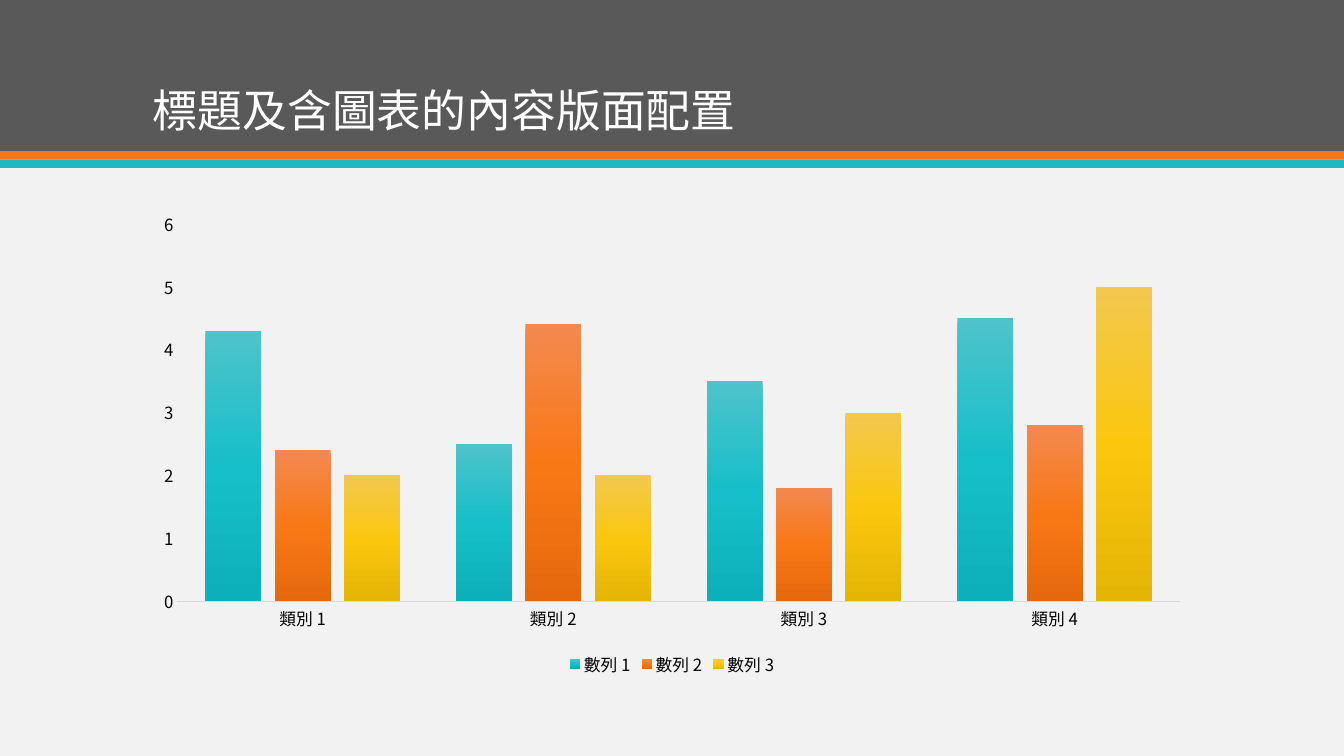
import dataclasses
import copy
import lxml.etree
import pptx
import pptx.chart.data
import pptx.dml.color
import pptx.enum.chart
import pptx.enum.shapes
import pptx.enum.text
import pptx.oxml.ns
import pptx.util

Cm = pptx.util.Cm
qn = pptx.oxml.ns.qn


@dataclasses.dataclass(frozen=True)
class Theme:
    font: str = "Noto Sans CJK TC"
    background: str = "F2F2F2"
    header: str = "595959"
    stripes: tuple = ("EF7920", "1EB8C1")
    title: str = "FFFFFF"
    label: str = "000000"
    axis: str = "D9D9D9"
    gradients: tuple = (
        ("4EC3CB", "16BFC9", "0CB0BA"),
        ("F38950", "F97816", "E5690C"),
        ("F3C84E", "FAC70E", "E5B506"),
    )
    title_size: int = 32
    label_size: int = 12


@dataclasses.dataclass(frozen=True)
class Box:
    left: float
    top: float
    width: float
    height: float

    def lengths(self):
        return Cm(self.left), Cm(self.top), Cm(self.width), Cm(self.height)


THEME = Theme()
CATEGORIES = ("類別 1", "類別 2", "類別 3", "類別 4")
SERIES = {
    "數列 1": (4.3, 2.5, 3.5, 4.5),
    "數列 2": (2.4, 4.4, 1.8, 2.8),
    "數列 3": (2, 2, 3, 5),
}


def color(value):
    return pptx.dml.color.RGBColor.from_string(value)


def style_font(font, size, value):
    font.name = THEME.font
    font.size = pptx.util.Pt(size)
    font.color.rgb = color(value)
    east_asian = lxml.etree.SubElement(font._element, qn("a:ea"))
    east_asian.set("typeface", THEME.font)


def add_band(page, box, value):
    band = page.shapes.add_shape(
        pptx.enum.shapes.MSO_SHAPE.RECTANGLE, *box.lengths())
    band.shadow.inherit = False
    band.fill.solid()
    band.fill.fore_color.rgb = color(value)
    band.line.fill.background()


def add_header(page, box, text):
    stripe_height = 0.21
    panel_height = box.height - stripe_height * len(THEME.stripes)
    add_band(page, Box(box.left, box.top, box.width, panel_height), THEME.header)
    for index, value in enumerate(THEME.stripes):
        top = box.top + panel_height + index * stripe_height
        add_band(page, Box(box.left, top, box.width, stripe_height), value)

    title = page.shapes.title
    title.element.getparent().append(title.element)
    title_box = Box(box.left + 3.6, box.top + 0.71, box.width - 7.2, 2.87)
    title.left, title.top, title.width, title.height = title_box.lengths()
    frame = title.text_frame
    frame.text = text
    frame.word_wrap = True
    frame.auto_size = pptx.enum.text.MSO_AUTO_SIZE.NONE
    frame.vertical_anchor = pptx.enum.text.MSO_ANCHOR.BOTTOM
    para = frame.paragraphs[0]
    para.alignment = pptx.enum.text.PP_ALIGN.LEFT
    para.line_spacing = 0.9
    style_font(para.font, THEME.title_size, THEME.title)


def fill_gradient(series, values):
    fill = series.format.fill
    fill.gradient()
    fill.gradient_angle = 270
    stop_list = series._element.find(".//" + qn("a:gsLst"))
    stop_list.append(copy.deepcopy(stop_list[-1]))
    for index, (stop, value) in enumerate(zip(fill.gradient_stops, values)):
        stop.position = index / (len(values) - 1)
        stop.color.rgb = color(value)


def add_column_chart(page, box):
    chart_data = pptx.chart.data.CategoryChartData()
    chart_data.categories = CATEGORIES
    for name, values in SERIES.items():
        chart_data.add_series(name, values)
    chart = page.shapes.add_chart(
        pptx.enum.chart.XL_CHART_TYPE.COLUMN_CLUSTERED,
        *box.lengths(), chart_data).chart
    chart.has_title = False
    style_font(chart.font, THEME.label_size, THEME.label)

    chart.has_legend = True
    chart.legend.position = pptx.enum.chart.XL_LEGEND_POSITION.BOTTOM
    chart.legend.include_in_layout = False
    style_font(chart.legend.font, THEME.label_size, THEME.label)

    for axis in (chart.category_axis, chart.value_axis):
        axis.has_major_gridlines = False
        axis.major_tick_mark = pptx.enum.chart.XL_TICK_MARK.NONE
        axis.minor_tick_mark = pptx.enum.chart.XL_TICK_MARK.NONE
        style_font(axis.tick_labels.font, THEME.label_size, THEME.label)
    chart.category_axis.format.line.color.rgb = color(THEME.axis)
    chart.category_axis.format.line.width = pptx.util.Pt(0.75)
    chart.value_axis.format.line.fill.background()
    chart.value_axis.minimum_scale = 0
    chart.value_axis.maximum_scale = 6
    chart.value_axis.major_unit = 1

    plot = chart.plots[0]
    plot.vary_by_categories = False
    plot.gap_width = 100
    plot.overlap = -24
    for series, values in zip(plot.series, THEME.gradients):
        fill_gradient(series, values)


def add_chart_page(deck, box):
    page = deck.slides.add_slide(deck.slide_layouts[5])
    page.background.fill.solid()
    page.background.fill.fore_color.rgb = color(THEME.background)
    add_header(page, Box(box.left, box.top, box.width, 4.23),
               "標題及含圖表的內容版面配置")
    add_column_chart(page, Box(box.left + 3.6, box.top + 5.08,
                               box.width - 7.2, box.height - 6.98))


def main():
    deck = pptx.Presentation()
    page_box = Box(0, 0, 33.87, 19.05)
    deck.slide_width = Cm(page_box.width)
    deck.slide_height = Cm(page_box.height)
    add_chart_page(deck, page_box)
    deck.save("out.pptx")


if __name__ == "__main__":
    main()
